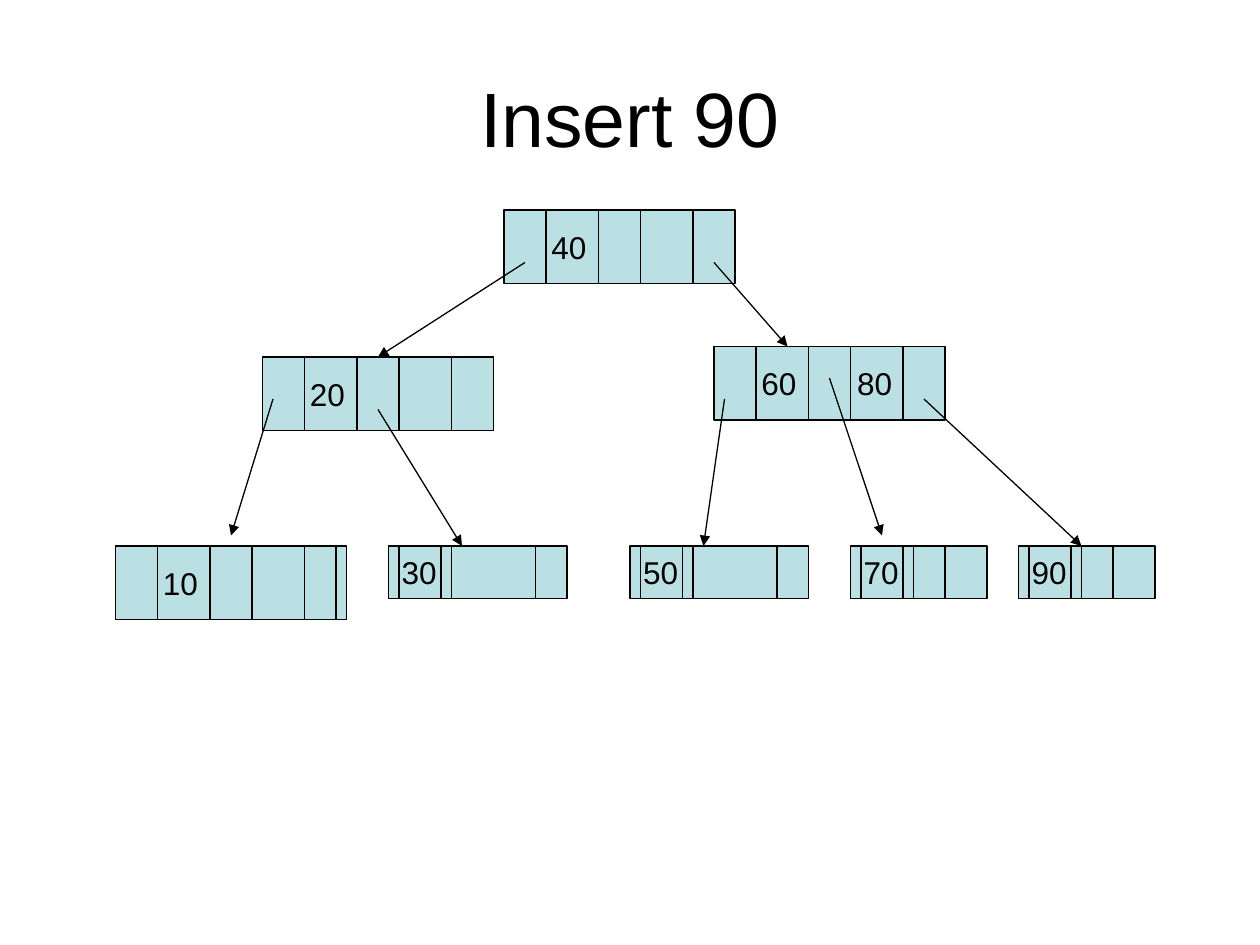
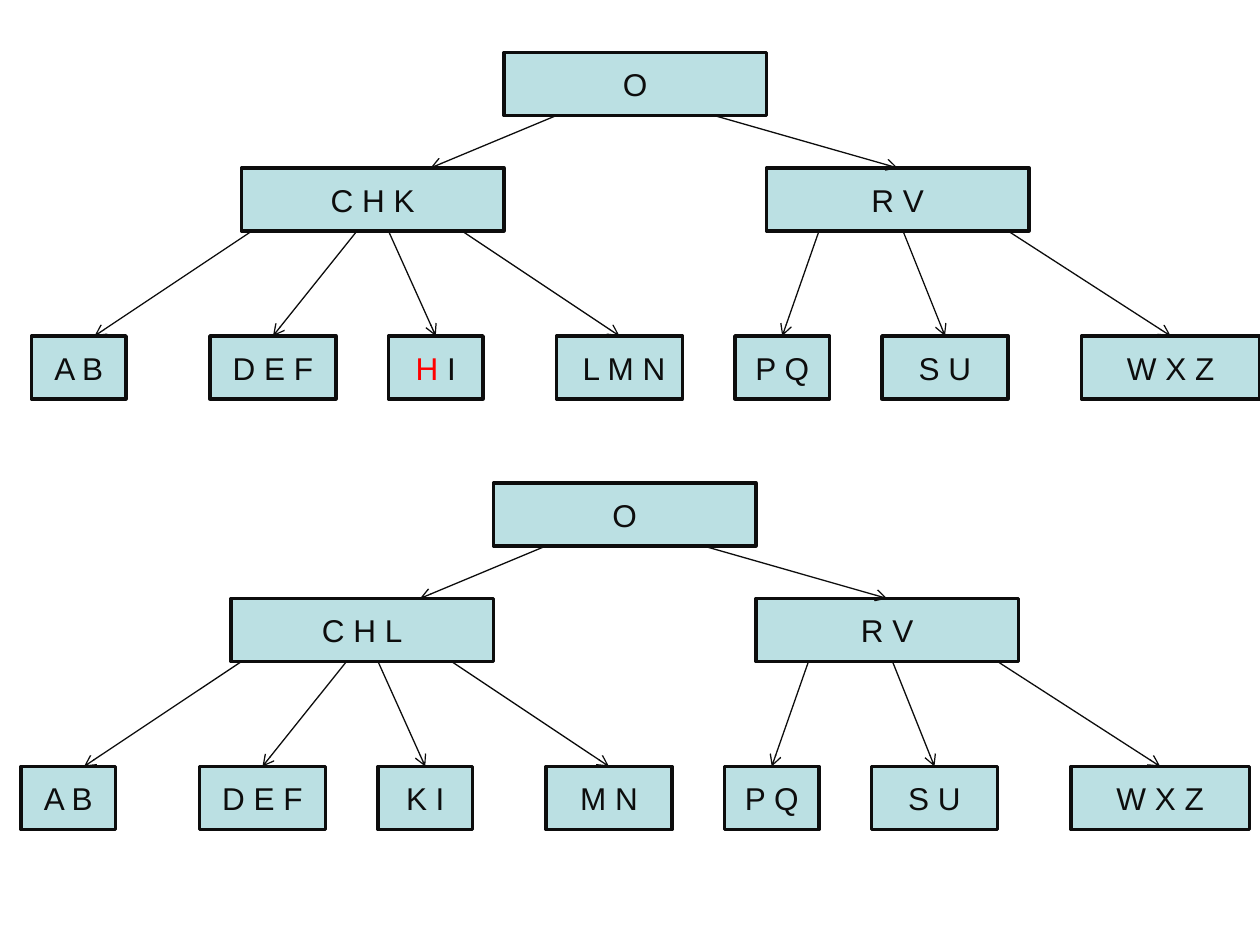
import dataclasses
import typing

import pptx
import pptx.dml.color
import pptx.enum.shapes
import pptx.enum.text
import pptx.oxml.ns
import pptx.util
from lxml import etree

PX = 9525  # EMU in one px, 96 px to the inch
FONT = "Arial"
FILL = "BBE0E3"
BLACK = "000000"
INK = "0D0D0D"
RED = "FF0000"
ALIGN = pptx.enum.text.PP_ALIGN
PAD = 10  # usual side inset of a box
KEY = 36  # inset that puts a key in its slot
TAB = 73  # from the first key to the second

Point = tuple[int, int]


@dataclasses.dataclass(frozen=True)
class Box:
    text: str
    left: int
    top: int
    width: int
    height: int
    slots: tuple[int, ...] = ()
    pad: int = PAD
    hot: str = ""  # leading letters shown in red

    @property
    def head(self) -> Point:
        return self.left + self.width // 2, self.top


@dataclasses.dataclass(frozen=True)
class Style:
    ink: str
    edge: float
    align: typing.Any
    tip: str


class Edge(typing.NamedTuple):
    start: Point
    end: Point


KEYED = Style(BLACK, 0.75, ALIGN.LEFT, "triangle")
PLAIN = Style(INK, 2, ALIGN.CENTER, "arrow")

WIDE = (32, 72, 104, 144)
LONG = (8, 40, 48, 112)
SHORT = (8, 40, 48, 72)


def inner(text: str, left: int, top: int, slots: tuple[int, ...] = WIDE) -> Box:
    return Box(text, left, top, 176, 56, slots, KEY)


def leaf(text: str, left: int, width: int, slots: tuple[int, ...]) -> Box:
    return Box(text, left, 416, width, 40, slots)


NODES = [
    inner("40", 384, 160),
    inner("20", 200, 272),
    inner("\t".join(("60", "80")), 544, 264),
    inner("10", 88, 416, WIDE + (168,)),
    leaf("30", 296, 136, LONG),
    leaf("50", 480, 136, LONG),
    leaf("70", 648, 104, SHORT),
    leaf("90", 776, 104, SHORT),
]
LINKS = [
    Edge((400, 200), (288, 272)),
    Edge((544, 200), (600, 264)),
    Edge((208, 304), (176, 408)),
    Edge((288, 312), (352, 416)),
    Edge((552, 304), (536, 416)),
    Edge((632, 288), (672, 408)),
    Edge((704, 304), (824, 416)),
]

# Left, top and width of each tree box, by level
PLACES = [
    (384, 40, 200),
    (184, 128, 200), (584, 128, 200),
    (24, 256, 72), (160, 256, 96), (296, 256, 72), (424, 256, 96),
    (560, 256, 72), (672, 256, 96), (824, 256, 136),
]
PATHS = [
    Edge((424, 88), (328, 128)), Edge((544, 88), (684, 128)),
    Edge((192, 176), (72, 256)), Edge((272, 176), (208, 256)),
    Edge((296, 176), (332, 256)), Edge((352, 176), (472, 256)),
    Edge((624, 176), (596, 256)), Edge((688, 176), (720, 256)),
    Edge((768, 176), (892, 256)),
]
BEFORE = ["O", "C H K", "R V", "A B", "D E F", "H I", "L M N", "P Q", "S U", "W X Z"]
AFTER = ["O", "C H L", "R V", "A B", "D E F", "K I", "M N", "P Q", "S U", "W X Z"]


def emu(*sizes: int) -> list[pptx.util.Emu]:
    return [pptx.util.Emu(size * PX) for size in sizes]


def paint(color: typing.Any, code: str) -> None:
    """Give a fill, line or font colour the hex code."""
    color.rgb = pptx.dml.color.RGBColor.from_string(code)


def write(para: typing.Any, size: int, ink: str, align: typing.Any) -> None:
    para.alignment = align
    para.font.name = FONT
    para.font.size = pptx.util.Pt(size)
    paint(para.font.color, ink)


def title(slide: typing.Any, text: str) -> None:
    frame = slide.shapes.add_textbox(*emu(48, 29, 864, 120)).text_frame
    frame.word_wrap = True
    frame.vertical_anchor = pptx.enum.text.MSO_ANCHOR.MIDDLE
    frame.text = text
    write(frame.paragraphs[0], 44, BLACK, ALIGN.CENTER)


def stroke(slide: typing.Any, edge: Edge, ink: str) -> typing.Any:
    kind = pptx.enum.shapes.MSO_CONNECTOR.STRAIGHT
    line = slide.shapes.add_connector(kind, *emu(*edge.start, *edge.end))
    line.line.width = pptx.util.Pt(0.75)
    paint(line.line.color, ink)
    etree.SubElement(line._element.spPr, pptx.oxml.ns.qn("a:effectLst"))
    return line


def arrow(slide: typing.Any, edge: Edge, style: Style, heads: dict) -> None:
    """Draw an edge, joined to a box when it ends at the middle of its top."""
    line = stroke(slide, edge, style.ink)
    tip = etree.SubElement(line.line._get_or_add_ln(), pptx.oxml.ns.qn("a:tailEnd"))
    tip.set("type", style.tip)
    if edge.end in heads:
        line.end_connect(heads[edge.end], 0)


def stops(para: typing.Any) -> None:
    """Set the tab stop that the second key stands at."""
    tabs = etree.SubElement(para._p.get_or_add_pPr(), pptx.oxml.ns.qn("a:tabLst"))
    etree.SubElement(tabs, pptx.oxml.ns.qn("a:tab"), pos=str(TAB * PX), algn="l")


def draw(slide: typing.Any, box: Box, style: Style) -> typing.Any:
    kind = pptx.enum.shapes.MSO_SHAPE.RECTANGLE
    shape = slide.shapes.add_shape(kind, *emu(box.left, box.top, box.width, box.height))
    shape.shadow.inherit = False
    shape.fill.solid()
    paint(shape.fill.fore_color, FILL)
    paint(shape.line.color, style.ink)
    shape.line.width = pptx.util.Pt(style.edge)

    frame = shape.text_frame
    frame.word_wrap = True
    frame.vertical_anchor = pptx.enum.text.MSO_ANCHOR.MIDDLE
    frame.margin_left, frame.margin_right = emu(box.pad, PAD)
    para = frame.paragraphs[0]
    if "\t" in box.text:
        stops(para)
    if box.hot:
        run = para.add_run()
        run.text = box.hot
        paint(run.font.color, RED)
    para.add_run().text = box.text.removeprefix(box.hot)
    write(para, 18, style.ink, style.align)

    for slot in box.slots:
        side = box.left + slot
        stroke(slide, Edge((side, box.top), (side, box.top + box.height)), style.ink)
    return shape


def tree(slide: typing.Any, boxes: list[Box], edges: list[Edge], style: Style) -> None:
    heads = {box.head: draw(slide, box, style) for box in boxes}
    for edge in edges:
        arrow(slide, edge, style, heads)


def plant(slide: typing.Any, texts: list[str], right: int, down: int) -> None:
    """Draw a letter tree, moved by the given px."""
    boxes = []
    for text, (left, top, width) in zip(texts, PLACES):
        pad = PAD + 7 if text == "L M N" else PAD
        hot = "H" if text == "H I" else ""
        boxes.append(Box(text, left + right, top + down, width, 48, pad=pad, hot=hot))
    edges = [Edge(*((x + right, y + down) for x, y in path)) for path in PATHS]
    tree(slide, boxes, edges, PLAIN)


def main() -> None:
    deck = pptx.Presentation()
    deck.slide_width, deck.slide_height = emu(960, 720)
    blank = deck.slide_layouts[6]

    slide = deck.slides.add_slide(blank)
    title(slide, "Insert 90")
    tree(slide, NODES, LINKS, KEYED)

    slide = deck.slides.add_slide(blank)
    plant(slide, BEFORE, 0, 0)
    plant(slide, AFTER, -8, 328)

    deck.save("out.pptx")


if __name__ == "__main__":
    main()
